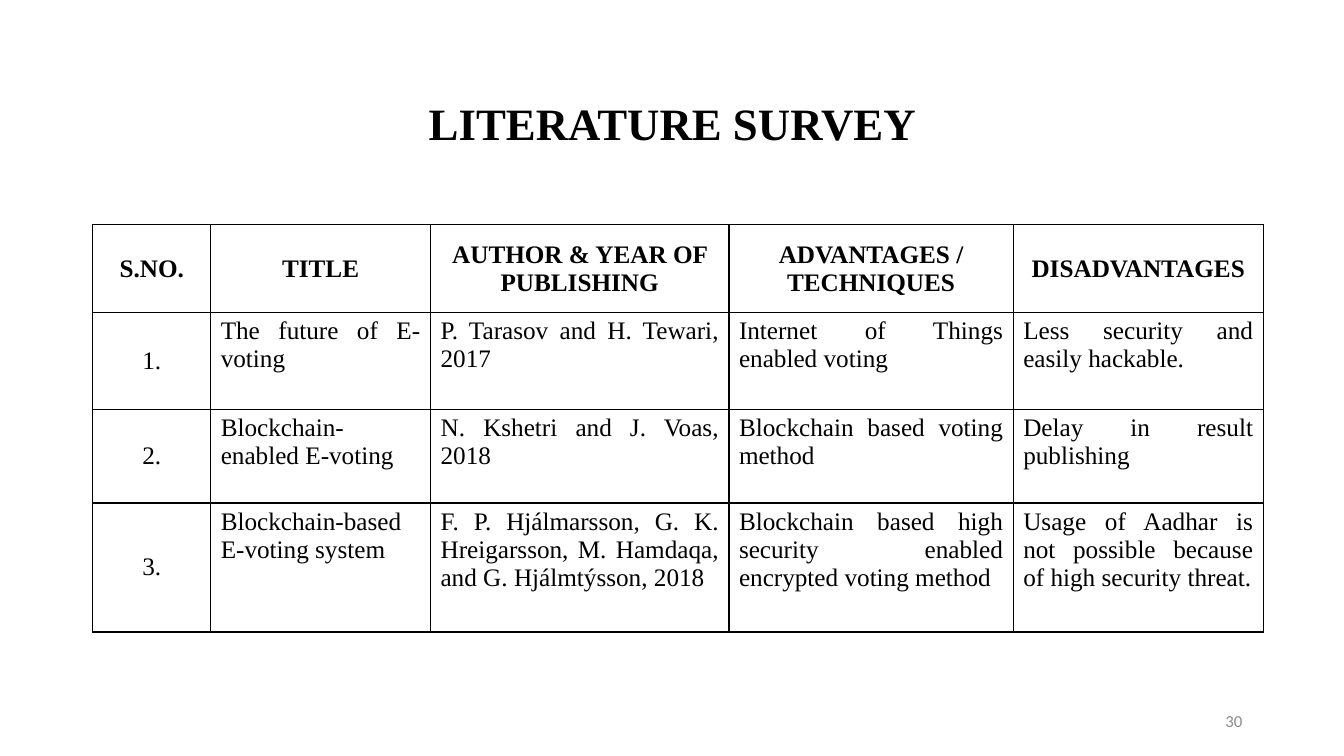
from pptx import Presentation
from pptx.dml.color import RGBColor
from pptx.enum.text import MSO_ANCHOR, PP_ALIGN
from pptx.oxml import parse_xml
from pptx.oxml.ns import nsdecls
from pptx.util import Inches, Pt

# Content
TITLE = "LITERATURE SURVEY"
PAGE = "30"
HEADER = ["S.NO.", "TITLE", "AUTHOR & YEAR OF PUBLISHING",
          "ADVANTAGES / TECHNIQUES", "DISADVANTAGES"]
PAPERS = [
    ("The future of E-voting", "P. Tarasov and H. Tewari, 2017",
     "Internet of Things enabled voting", "Less security and easily hackable."),
    ("Blockchain-enabled E-voting", "N. Kshetri and J. Voas, 2018",
     "Blockchain based voting method", "Delay in result publishing"),
    ("Blockchain-based E-voting system",
     "F. P. Hjálmarsson, G. K. Hreigarsson, M. Hamdaqa, and G. Hjálmtýsson, 2018",
     "Blockchain based high security enabled encrypted voting method",
     "Usage of Aadhar is not possible because of high security threat."),
]
ROWS = [HEADER] + [(f"{n}.", *paper) for n, paper in enumerate(PAPERS, 1)]

# Layout and formats
W, H = 13.33, 7.5
LEFT, TABLE_TOP = 0.92, 2.23
COLS = [1.17, 2.18, 2.96, 2.82, 2.48]
HEIGHTS = [0.87, 0.96, 0.93, 1.28]
COLORS = {"ink": "000000", "page": "8C8C8C"}
SERIF = "Times New Roman"
FORMATS = {
    "title": {"name": SERIF, "size": Pt(32), "bold": True},
    "head": {"name": SERIF, "size": Pt(18), "bold": True},
    "body": {"name": SERIF, "size": Pt(18), "bold": False},
    "page": {"name": "Calibri", "size": Pt(12), "bold": False},
}


def write(tf, text, style, align, color="ink"):
    p = tf.paragraphs[0]
    p.alignment = align
    r = p.add_run()
    r.text = text
    for key, value in FORMATS[style].items():
        setattr(r.font, key, value)
    r.font.color.rgb = RGBColor.from_string(COLORS[color])
    return p


def add_text(s, box, *args):
    tf = s.shapes.add_textbox(*map(Inches, box)).text_frame
    tf.word_wrap = True
    tf.vertical_anchor = MSO_ANCHOR.MIDDLE
    return write(tf, *args)


def add_borders(cell):
    tcPr = cell._tc.get_or_add_tcPr()
    for side in "LRTB":
        tcPr.append(parse_xml(
            f'<a:ln{side} {nsdecls("a")} w="{Pt(1)}"><a:solidFill>'
            f'<a:srgbClr val="{COLORS["ink"]}"/></a:solidFill></a:ln{side}>'))


prs = Presentation()
prs.slide_width, prs.slide_height = Inches(W), Inches(H)
s = prs.slides.add_slide(prs.slide_layouts[6])

# Title
p = add_text(s, (LEFT, 0.52, 11.5, 1.45), TITLE, "title", PP_ALIGN.CENTER)
p.line_spacing = 0.9

# Survey table
table = s.shapes.add_table(
    len(ROWS), len(COLS), Inches(LEFT), Inches(TABLE_TOP),
    Inches(sum(COLS)), Inches(sum(HEIGHTS))).table
table.first_row = table.horz_banding = False
for col, width in zip(table.columns, COLS):
    col.width = Inches(width)
for row, height in zip(table.rows, HEIGHTS):
    row.height = Inches(height)
for i, texts in enumerate(ROWS):
    for j, text in enumerate(texts):
        cell = table.cell(i, j)
        centred = i == 0 or j == 0
        cell.vertical_anchor = MSO_ANCHOR.MIDDLE if centred else MSO_ANCHOR.TOP
        write(cell.text_frame, text, "body" if i else "head",
              PP_ALIGN.CENTER if centred else PP_ALIGN.JUSTIFY)
        add_borders(cell)
        cell.fill.background()

# Page number
add_text(s, (9.42, 6.95, 3, 0.4), PAGE, "page", PP_ALIGN.RIGHT, "page")

prs.save("out.pptx")
